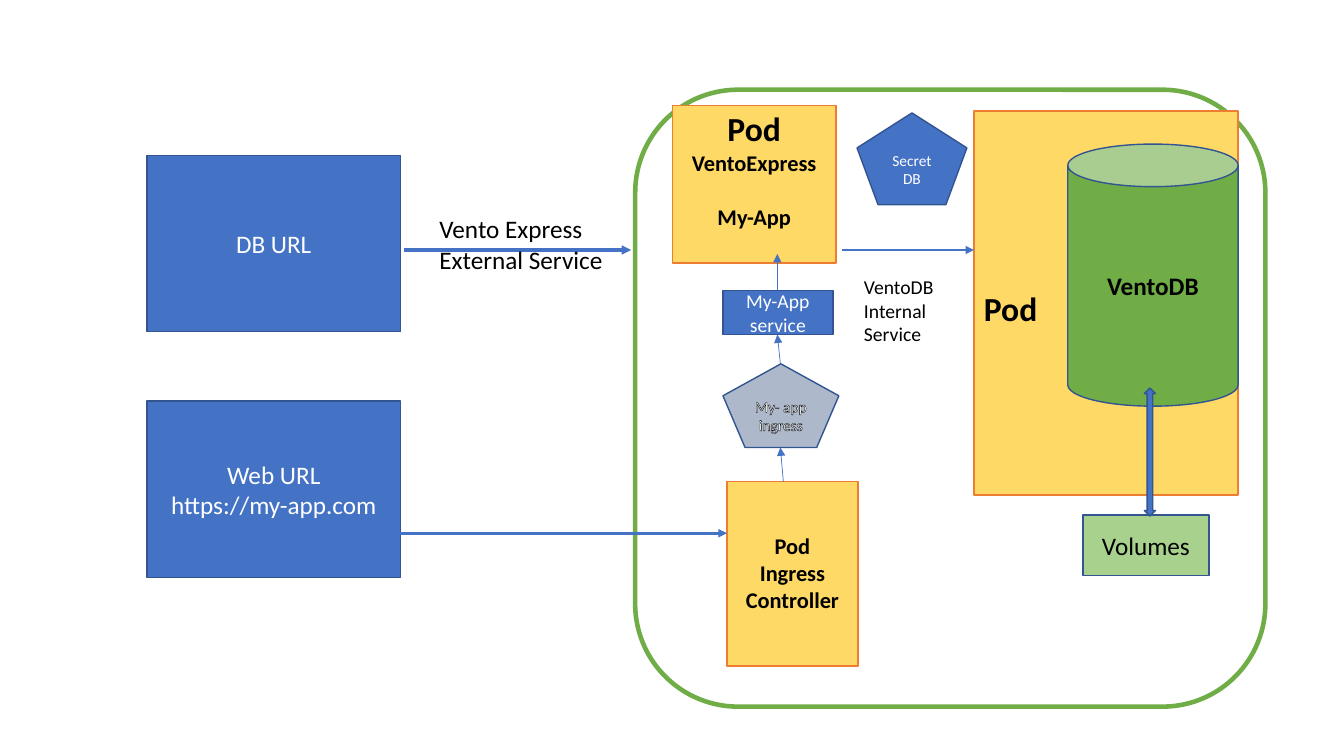
from lxml.etree import SubElement
from pptx import Presentation
from pptx.dml.color import RGBColor
from pptx.enum.shapes import MSO_CONNECTOR, MSO_SHAPE
from pptx.enum.text import MSO_ANCHOR, MSO_AUTO_SIZE, PP_ALIGN
from pptx.oxml import parse_xml
from pptx.oxml.ns import nsdecls, qn
from pptx.util import Inches, Pt

BLUE, NAVY, WHITE, BLACK = "4472C4", "325491", "FFFFFF", "000000"
GREEN, PALE_GREEN, GREY = "70AD47", "A9D18E", "ADB9CA"
YELLOW, ORANGE = "FFD966", "ED7D31"


def cells(*counts):
    return [Inches(count / 10) for count in counts]


def colour(hex_string):
    return RGBColor.from_string(hex_string)


def write(frame, lines, sizes, ink=WHITE, bold=False, align=PP_ALIGN.CENTER):
    frame.text = "\n".join(lines)
    for paragraph, size in zip(frame.paragraphs, sizes):
        paragraph.alignment = align
        for run in paragraph.runs:
            run.font.name = "Calibri"
            run.font.size = Pt(size)
            run.font.bold = bold
            run.font.color.rgb = colour(ink)


def block(slide, preset, place, fill=None, edge=NAVY, weight=1):
    shape = slide.shapes.add_shape(preset, *cells(*place))
    shape.shadow.inherit = False
    if fill:
        shape.fill.solid()
        shape.fill.fore_color.rgb = colour(fill)
    else:
        shape.fill.background()
    shape.line.color.rgb = colour(edge)
    shape.line.width = Pt(weight)
    return shape


def node(slide, preset, place, fill, lines, size, ink=WHITE, bold=False):
    shape = block(slide, preset, place, fill)
    shape.text_frame.vertical_anchor = MSO_ANCHOR.MIDDLE
    write(shape.text_frame, lines, [size] * len(lines), ink, bold)
    return shape


def pod(slide, place, lines, sizes, inset_top, inset_bottom):
    shape = block(slide, MSO_SHAPE.RECTANGLE, place, YELLOW, ORANGE)
    frame = shape.text_frame
    frame.vertical_anchor = MSO_ANCHOR.MIDDLE
    frame.margin_top, frame.margin_bottom = cells(inset_top, inset_bottom)
    write(frame, lines, sizes, BLACK, True)
    return frame


def caption(slide, place, lines, size, wrap):
    frame = slide.shapes.add_textbox(*cells(*place)).text_frame
    frame.word_wrap = wrap
    frame.auto_size = MSO_AUTO_SIZE.SHAPE_TO_FIT_TEXT
    write(frame, lines, [size] * len(lines), BLACK, align=PP_ALIGN.LEFT)


def arrow(slide, start, end, weight):
    connector = slide.shapes.add_connector(
        MSO_CONNECTOR.STRAIGHT, *cells(*start, *end))
    connector.line.color.rgb = colour(BLUE)
    connector.line.width = Pt(weight)
    SubElement(connector.line._get_or_add_ln(), qn("a:tailEnd"), type="triangle")
    SubElement(connector._element.spPr, qn("a:effectLst"))


def outline_text(shape, hex_string, weight):
    for run in shape.text_frame.paragraphs[0].runs:
        run.font._element.insert(0, parse_xml(
            f'<a:ln {nsdecls("a")} w="{Pt(weight)}"><a:solidFill>'
            f'<a:srgbClr val="{hex_string}"/></a:solidFill></a:ln>'))


def draw_clients(slide):
    clients = (["DB URL"], ["Web URL", "https://my-app.com"])
    for index, lines in enumerate(clients):
        place = (14.6, 15.4 + 24.4 * index, 25.1, 17.5)
        node(slide, MSO_SHAPE.RECTANGLE, place, BLUE, lines, 18)
    arrow(slide, (40.1, 24.8), (62.6, 24.8), 2.25)
    caption(slide, (42.6, 20.7, 18.9, 10.1),
            ["Vento Express", "External Service"], 18, False)


def draw_database(slide):
    frame = pod(slide, (96.6, 11, 26.2, 38.1), ["Pod"], [24], 4.57, 3.55)
    frame.paragraphs[0].alignment = PP_ALIGN.LEFT
    node(slide, MSO_SHAPE.CAN, (105.9, 14.3, 16.9, 26), GREEN,
         ["VentoDB"], 18, BLACK, True)
    volumes = node(slide, MSO_SHAPE.ROUNDED_RECTANGLE, (107.4, 51.1, 12.5, 6),
                   PALE_GREEN, ["Volumes"], 18, BLACK)
    volumes.adjustments[0] = 0
    storage = block(slide, MSO_SHAPE.LEFT_RIGHT_ARROW,
                    (107.7, 44.3, 12.7, 1.1), BLUE)
    storage.rotation = 90


def draw_application(slide):
    frame = pod(slide, (66.7, 10.5, 16.2, 15.6),
                ["Pod", "VentoExpress", "My-App"], [24, 16, 16], 0.5, 3.55)
    frame.paragraphs[2].space_before = Pt(19.5)
    arrow(slide, (83.5, 24.8), (96.6, 24.8), 2)
    caption(slide, (84.7, 26.8, 11.2, 8.1),
            ["VentoDB", "Internal Service"], 14, True)
    node(slide, MSO_SHAPE.REGULAR_PENTAGON, (85, 11.2, 10.9, 9.1), BLUE,
         ["Secret DB"], 11)


def draw_ingress(slide):
    ingress = node(slide, MSO_SHAPE.REGULAR_PENTAGON, (71.7, 36.1, 11.5, 8.3),
                   GREY, ["My- app ingress"], 11)
    outline_text(ingress, BLACK, 0.75)
    pod(slide, (72.1, 47.8, 13, 18.3), ["Pod", "Ingress Controller"],
        [16, 16], 3.2, 3.55)
    node(slide, MSO_SHAPE.RECTANGLE, (71.7, 28.8, 10.9, 4.4), BLUE,
         ["My-App service"], 14)
    arrow(slide, (38.7, 52.9), (72.1, 52.9), 2)
    for start, end in (((77.7, 47.8), (77.4, 44.4)),
                       ((77.4, 36.1), (77.1, 33.2)),
                       ((77.1, 28.8), (77.1, 25.2))):
        arrow(slide, start, end, 0.5)


def main():
    deck = Presentation()
    deck.slide_width, deck.slide_height = Inches(13.33), Inches(7.5)
    slide = deck.slides.add_slide(deck.slide_layouts[6])
    draw_clients(slide)
    block(slide, MSO_SHAPE.ROUNDED_RECTANGLE, (63, 8.9, 62.5, 61.2),
          edge=GREEN, weight=3.25)
    draw_database(slide)
    draw_application(slide)
    draw_ingress(slide)
    deck.save("out.pptx")


main()
